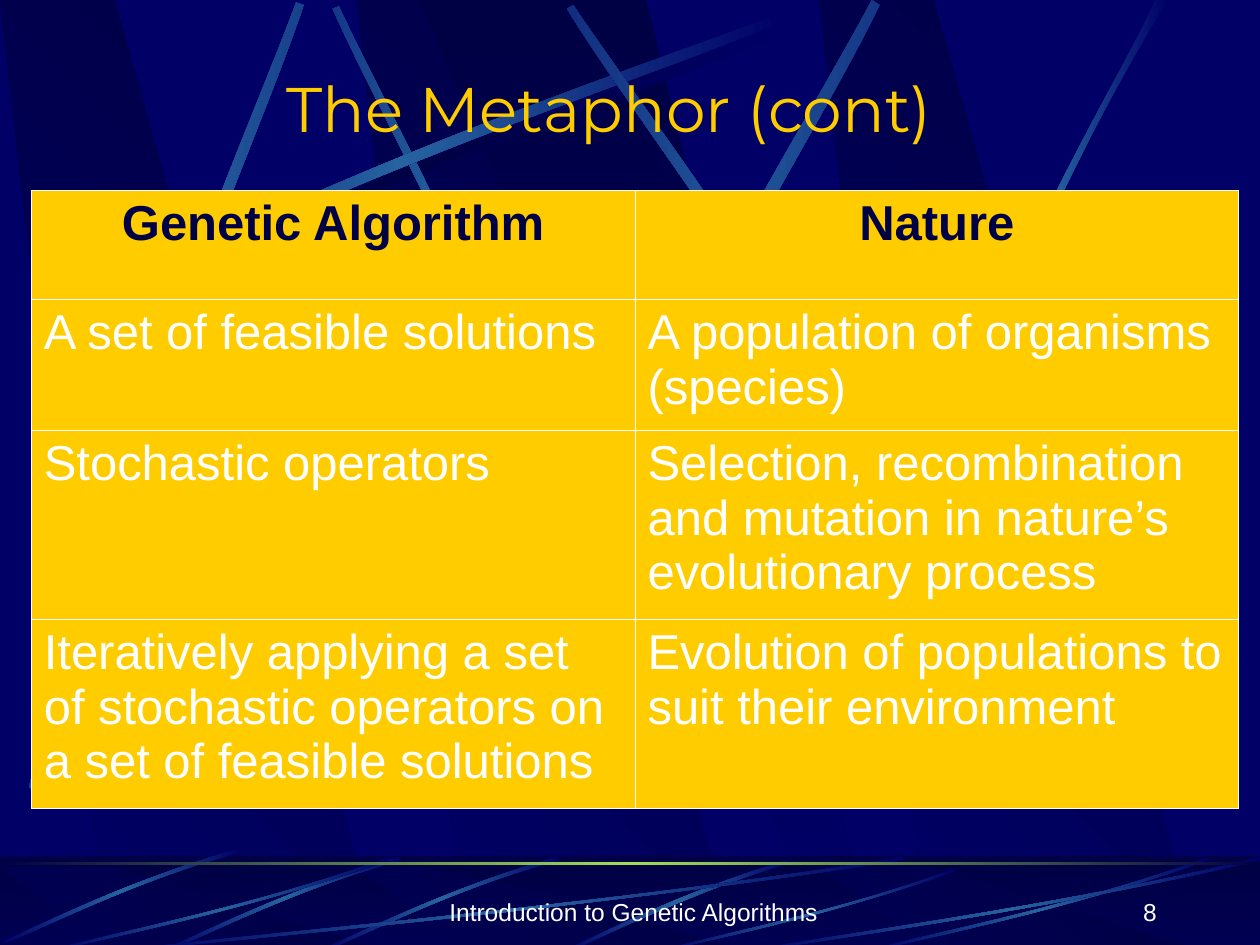
import math

from lxml import etree
from pptx import Presentation
from pptx.dml.color import RGBColor
from pptx.enum import shapes, text
from pptx.oxml import ns
from pptx.util import Cm, Pt

NAVY = RGBColor(0x00, 0x00, 0x66)
DARK = RGBColor(0x00, 0x00, 0x44)
BLUE = RGBColor(0x26, 0x63, 0xA0)
GREEN = RGBColor(0x9C, 0xE1, 0x57)
GOLD = RGBColor(0xFF, 0xCC, 0x00)
WHITE = RGBColor(0xFF, 0xFF, 0xFF)

TITLE = "The Metaphor (cont)"
ROWS = [
    ("Genetic Algorithm", "Nature"),
    ("A set of feasible solutions", "A population of organisms (species)"),
    ("Stochastic operators",
     "Selection, recombination and mutation in nature’s evolutionary process"),
    ("Iteratively applying a set of stochastic operators on a set of feasible solutions",
     "Evolution of populations to suit their environment"),
]
ROW_HEIGHTS = [2.2, 2.64, 3.81, 3.82]
COLUMN_WIDTH = 12.17
FOOTERS = [  # wording, left, width, alignment
    ("Introduction to Genetic Algorithms", 8.75, 8.05, text.PP_ALIGN.CENTER),
    ("8", 18.29, 5.28, text.PP_ALIGN.RIGHT),
]

# Background artwork is laid out on a grid of 10 by 7.5 units.
GRID = 2.54
SLAB = [(0.86, 1), (3.02, 1), (0.91, 0), (0, 0)]  # heights are fractions
SLAB_LEFTS = [2.83, 0, 6.5]
WIDE_SLAB = [(3.33, 0), (6.58, 1), (6.94, 1), (5.13, 0)]
SLAB_BANDS = {"main": (0, 7.52), "footer": (6.88, 0.66)}  # top, height

# A beam has two curved edges, each a start, two controls and an end.
LONG_BEAM = [(0.14, 2.67), (2.78, 1.25), (5.18, 0.51), (6.2, 0.1),
             (6.23, 0.16), (5.22, 0.61), (2.48, 1.43), (0.17, 2.77)]
STEEP_BEAMS = [  # rotation, points
    (311.7, [(0.23, 6.25), (0.93, 3.34), (1.97, 1.05), (2.35, 0.02),
             (2.41, 0.04), (2.07, 1.08), (0.86, 3.68), (0.32, 6.29)]),
    (321.6, [(3.85, 6.14), (4.98, 3.2), (6.38, 1.02), (6.92, 0),
             (6.98, 0.04), (6.49, 1.08), (4.86, 3.55), (3.94, 6.21)]),
    (34.8, [(8.06, 5.6), (6.7, 2.93), (5.16, 0.95), (4.55, 0.04),
            (4.5, 0.07), (5.07, 1.01), (6.85, 3.25), (7.99, 5.66)]),
    (0, [(7.38, 3.93), (8.14, 1.73), (8.88, 0.66), (9.17, 0),
         (9.27, 0), (8.36, 1.45), (7.69, 3.22), (7.44, 3.97)]),
]
LEFT_BEAM = [(4.6, 4.36), (3.91, 2.34), (3.02, 0.77), (2.69, 0.05),
             (2.64, 0.07), (2.95, 0.79), (3.98, 2.58), (4.54, 4.39)]
CENTRE_STREAK = [(6.27, 6.82), (5.37, 7.09), (4.77, 7.42), (4.48, 7.54),
                 (4.53, 7.55), (4.9, 7.37), (5.71, 7), (6.28, 6.85)]
SHORT_STREAK = [(1.86, 0.03), (0.99, 0.28), (0.31, 0.63), (0, 0.76),
                (0.01, 0.78), (0.32, 0.66), (1.09, 0.26), (1.88, 0.06)]
SHORT_STREAK_PLACES = [(2.56, 6.77), (1.31, 6.77), (0.02, 6.71)]
STREAK = [(1, 0.04), (0.57, 0.57), (0.17, 0.85), (0, 1),
          (0, 0.98), (0.17, 0.81), (0.62, 0.51), (1, 0)]
STREAK_PLACES = [  # left, top, width, height
    (1, 6.8, 6.17, 0.75), (0.42, 6.8, 2.67, 0.75), (5.27, 6.89, 2.31, 0.66),
    (6.92, 6.8, 2.67, 0.75), (6, 6.8, 4, 0.75),
]


def element(parent, tag, **attributes):
    return etree.SubElement(parent, ns.qn(tag), attributes)


def paint(shape, colors, angle):
    """Fill without outline; the colours are spread evenly along the angle."""
    shape.shadow.inherit = False
    shape.line.fill.background()
    shape.fill.gradient()
    gradient = shape.element.spPr.find(ns.qn("a:gradFill"))
    gradient.set("rotWithShape", "0")
    stops = gradient.find(ns.qn("a:gsLst"))
    for stop in list(stops):
        stops.remove(stop)
    for i, color in enumerate(colors):
        position = str(100000 * i // (len(colors) - 1))
        element(element(stops, "a:gs", pos=position), "a:srgbClr", val=str(color))
    gradient.find(ns.qn("a:lin")).set("ang", str(angle * 60000))


def placed(points, left=0, top=0, width=1, height=1):
    return [(left + x * width, top + y * height) for x, y in points]


def turned(points, degrees):
    """Turn points clockwise about the grid's origin."""
    cos, sin = math.cos(math.radians(degrees)), math.sin(math.radians(degrees))
    return [(x * cos - y * sin, x * sin + y * cos) for x, y in points]


def add_outline(slide, points, colors, angle):
    corners = [(Cm(x * GRID), Cm(y * GRID)) for x, y in points]
    builder = slide.shapes.build_freeform(*corners[0])
    builder.add_line_segments(corners[1:], close=True)
    shape = builder.convert_to_shape()
    paint(shape, colors, angle)
    return shape


def add_beam(slide, points, glow=BLUE, rotation=0):
    """Build the beam in its unrotated frame, then turn it about its centre."""
    beam = add_outline(slide, turned(points, -rotation), (NAVY, glow, NAVY), 0)
    lines = beam.element.findall(".//" + ns.qn("a:lnTo"))
    for edge in (lines[:3], lines[4:]):
        bezier = etree.Element(ns.qn("a:cubicBezTo"))
        edge[0].addprevious(bezier)
        for line in edge:
            bezier.append(line[0])
            line.getparent().remove(line)
    centre = (beam.left + beam.width / 2, beam.top + beam.height / 2)
    x, y = turned([centre], rotation)[0]
    beam.left, beam.top = round(x - beam.width / 2), round(y - beam.height / 2)
    beam.rotation = rotation


def add_slabs(slide, band):
    top, height = SLAB_BANDS[band]
    for left in SLAB_LEFTS:
        add_outline(slide, placed(SLAB, left, top, 1, height), (DARK, NAVY), 135)
    add_outline(slide, placed(WIDE_SLAB, 0, top, 1, height), (DARK, NAVY), 90)


def add_band(slide, top, height, colors, angle):
    band = slide.shapes.add_shape(shapes.MSO_SHAPE.RECTANGLE, 0, Cm(top),
                                  Cm(25.4), Cm(height))
    paint(band, colors, angle)
    return band


def add_artwork(slide):
    add_slabs(slide, "main")
    add_beam(slide, placed(LONG_BEAM, 0.06, 0.08), DARK)
    add_beam(slide, LEFT_BEAM, rotation=45)
    add_beam(slide, LONG_BEAM)
    for rotation, beam in STEEP_BEAMS:
        add_beam(slide, beam, rotation=rotation)

    add_band(slide, 17.27, 1.9, (DARK, NAVY), 90)
    add_slabs(slide, "footer")
    veil = add_band(slide, 17.25, 1.9, (DARK, DARK), 0)
    veil.fill.solid()
    veil.fill.fore_color.rgb = DARK
    tint = veil.element.spPr.find(".//" + ns.qn("a:srgbClr"))
    element(tint, "a:alpha", val="50000")

    add_beam(slide, CENTRE_STREAK)
    for place in SHORT_STREAK_PLACES:
        add_beam(slide, placed(SHORT_STREAK, *place), rotation=314.9)
    for place in STREAK_PLACES:
        add_beam(slide, placed(STREAK, *place))
    add_band(slide, 17.37, 0.06, (DARK, GREEN, DARK), 0)


def add_words(paragraph, words, size, color, font="Arial", bold=False):
    run = paragraph.add_run()
    run.text = words
    run.font.name, run.font.size, run.font.bold = font, Pt(size), bold
    run.font.color.rgb = color


def add_title(slide):
    title = slide.shapes.title
    slide.shapes.element.append(title.element)  # in front of the artwork
    title.left, title.top, title.width, title.height = map(Cm, (1.48, 1.27, 21.59, 1.78))
    title.text_frame.vertical_anchor = text.MSO_ANCHOR.MIDDLE
    paragraph = title.text_frame.paragraphs[0]
    paragraph.alignment = text.PP_ALIGN.CENTER
    add_words(paragraph, TITLE, 36, GOLD, "Montserrat")


def add_comparison(slide):
    columns = len(ROWS[0])
    table = slide.shapes.add_table(
        len(ROWS), columns, Cm(0.63), Cm(3.83),
        Cm(COLUMN_WIDTH * columns), Cm(sum(ROW_HEIGHTS))).table
    table.horz_banding = False
    for column in table.columns:
        column.width = Cm(COLUMN_WIDTH)
    for r, (words_in_row, height) in enumerate(zip(ROWS, ROW_HEIGHTS)):
        table.rows[r].height = Cm(height)
        for c, words in enumerate(words_in_row):
            cell = table.cell(r, c)
            properties = cell._tc.get_or_add_tcPr()
            for side in ("L", "R", "T", "B"):
                border = element(properties, "a:ln" + side, w=str(Pt(0.45)))
                element(element(border, "a:solidFill"), "a:srgbClr", val=str(WHITE))
            cell.fill.solid()
            cell.fill.fore_color.rgb = GOLD
            heading = r == 0
            paragraph = cell.text_frame.paragraphs[0]
            paragraph.space_before = Pt(7)
            paragraph.alignment = text.PP_ALIGN.CENTER if heading else text.PP_ALIGN.LEFT
            add_words(paragraph, words, 28, DARK if heading else WHITE, bold=heading)


def add_footers(slide):
    for words, left, width, alignment in FOOTERS:
        frame = slide.shapes.add_textbox(Cm(left), Cm(17.53), Cm(width), Cm(1.27)).text_frame
        frame.word_wrap = True
        frame.vertical_anchor = text.MSO_ANCHOR.BOTTOM
        frame.paragraphs[0].alignment = alignment
        add_words(frame.paragraphs[0], words, 14, WHITE)


def main():
    deck = Presentation()
    deck.slide_width, deck.slide_height = Cm(25.4), Cm(19.05)
    slide = deck.slides.add_slide(deck.slide_layouts[5])
    slide.background.fill.solid()
    slide.background.fill.fore_color.rgb = NAVY
    add_artwork(slide)
    add_title(slide)
    add_comparison(slide)
    add_footers(slide)
    deck.save("out.pptx")


if __name__ == "__main__":
    main()
